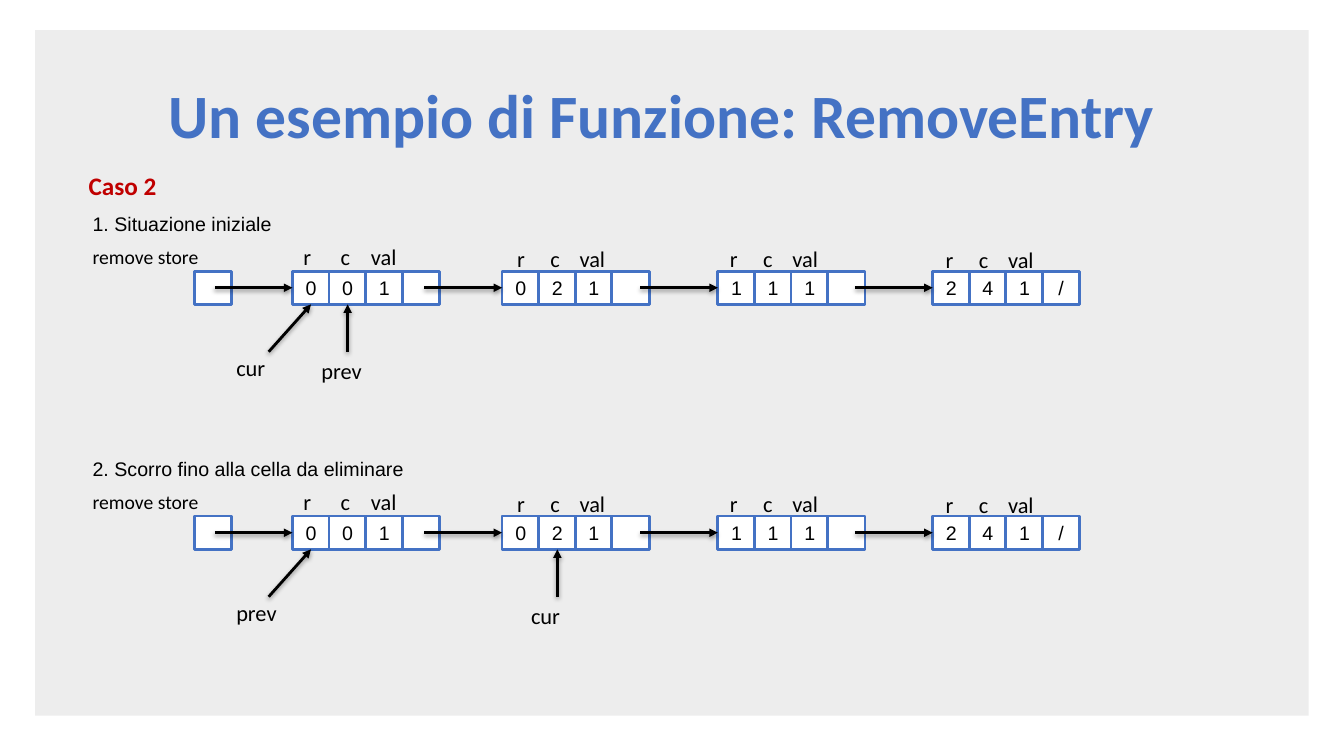
"""Builds the slide on removing an entry from a linked list, case 2."""
from lxml.etree import SubElement
from pptx import Presentation
from pptx.dml.color import RGBColor
from pptx.enum.shapes import MSO_CONNECTOR as LINK, MSO_SHAPE as FORM
from pptx.enum.text import MSO_ANCHOR as ANCHOR, PP_ALIGN as ALIGN
from pptx.oxml import parse_xml
from pptx.oxml.ns import nsdecls, qn
from pptx.util import Inches, Pt

BLUE, BLACK, RED, WHITE = "4472C4", "000000", "C00000", "FFFFFF"
COLUMN, CELL_W, CELL_H, PANEL_STEP = 0.363, 0.37, 0.33, 2.43
LINK_LENGTH, POINTER_DROP = 0.77, 0.8
colour = RGBColor.from_string

deck = Presentation()
deck.slide_width, deck.slide_height = Inches(13.33), Inches(7.5)
shapes = deck.slides.add_slide(deck.slide_layouts[6]).shapes


def write(words, size, font, hue=BLACK, place=None, box=None, bold=False):
    """Put one paragraph in the given box, or in a new one at the given place."""
    frame = (box or shapes.add_textbox(*map(Inches, place))).text_frame
    frame.word_wrap = True
    line = frame.paragraphs[0]
    line.text = words
    line.font.size, line.font.name, line.font.bold = Pt(size), font, bold
    line.font.color.rgb = colour(hue)
    return frame, line


def arrow(x, y, cell, side):
    """Draw a black arrow from a point to the middle of a cell's side."""
    link = shapes.add_connector(LINK.STRAIGHT, Inches(x), Inches(y), 0, 0)
    link.end_connect(cell, side)
    link.line.width = Pt(2)
    link.line.color.rgb = colour(BLACK)
    SubElement(link.line._get_or_add_ln(), qn("a:tailEnd"), type="triangle")
    link._element.spPr.append(parse_xml(
        f'<a:effectLst {nsdecls("a")}><a:outerShdw blurRad="40000" dist="20000" '
        f'dir="5400000" rotWithShape="0"><a:srgbClr val="{BLACK}">'
        '<a:alpha val="38000"/></a:srgbClr></a:outerShdw></a:effectLst>'))


panel = shapes.add_shape(FORM.RECTANGLE, *map(Inches, (0.35, 0.3, 12.63, 6.8)))
panel.shadow.inherit = False
panel.line.fill.background()
panel.fill.solid()
panel.fill.fore_color.rgb = colour(BLACK)
SubElement(panel._element.spPr.find(".//" + qn("a:srgbClr")), qn("a:alpha"), val="7000")

title, title_line = write("Un esempio di Funzione: RemoveEntry", 44, "Calibri", BLUE,
                          (0.82, 0.45, 11.5, 1.45), bold=True)
title.vertical_anchor = ANCHOR.MIDDLE
title_line.alignment, title_line.line_spacing = ALIGN.CENTER, 0.9
write("Caso 2", 18, "Calibri", RED, (0.78, 1.64, 1.27, 0.4), bold=True)

# left, values, heading shift, heading rise, heading tab stops
nodes = [
    (1.93, [""], None, None, ()),
    (2.9, ["0", "0", "1", ""], -0.04, 0.33, (0.37, 0.67)),
    (4.98, ["0", "2", "1", ""], 0, 0.31, (0.33, 0.62)),
    (7.12, ["1", "1", "1", ""], -0.03, 0.31, (0.33, 0.62)),
    (9.25, ["2", "4", "1", "/"], -0.02, 0.3, (0.33, 0.62)),
]
# pointer: name, node, cell, lean of the arrow, label shift, label drop
steps = [
    ("1. Situazione iniziale", [("cur", 1, 0, 0.42, 0.84, 0.77),
                                ("prev", 1, 1, 0, 0.36, 0.8)]),
    ("2. Scorro fino alla cella da eliminare", [("prev", 1, 0, 0.42, 0.84, 0.77),
                                                ("cur", 2, 1, 0, 0.36, 0.8)]),
]

for step, (caption, pointers) in enumerate(steps):
    top = 2.69 + step * PANEL_STEP
    write(caption, 14, "Arial", place=(0.82, top - 0.64, 4, 0.34))
    write("remove store", 14, "Calibri", place=(0.82, top - 0.31, 1.49, 0.34))
    cells = {}
    for node, (left, values, shift, rise, stops) in enumerate(nodes):
        for column, value in enumerate(values):
            cell = shapes.add_shape(FORM.RECTANGLE, *map(
                Inches, (left + column * COLUMN, top, CELL_W, CELL_H)))
            cell.shadow.inherit = False
            cell.fill.solid()
            cell.fill.fore_color.rgb = colour(WHITE)
            cell.line.color.rgb = colour(BLUE)
            cell.line.width = Pt(2)
            cells[node, column] = cell
            if value:
                frame, line = write(value, 14, "Arial", box=cell)
                frame.vertical_anchor, line.alignment = ANCHOR.MIDDLE, ALIGN.CENTER
        if stops:
            arrow(left - LINK_LENGTH, top + CELL_H / 2, cells[node, 0], 1)
            heading = write("r\tc\tval", 16, "Calibri",
                            place=(left + shift + 0.05, top - rise, 1.46, 0.37))[1]
            tabs = parse_xml(f'<a:tabLst {nsdecls("a")}/>')
            for stop in stops:
                SubElement(tabs, qn("a:tab"), pos=str(Inches(stop)), algn="l")
            heading._p.get_or_add_pPr().insert(0, tabs)
    for name, node, column, lean, shift, drop in pointers:
        middle = nodes[node][0] + column * COLUMN + CELL_W / 2
        arrow(middle - lean, top + POINTER_DROP, cells[node, column], 2)
        write(name, 16, "Calibri", place=(middle - shift, top + drop, 0.72, 0.37))

deck.save("out.pptx")
